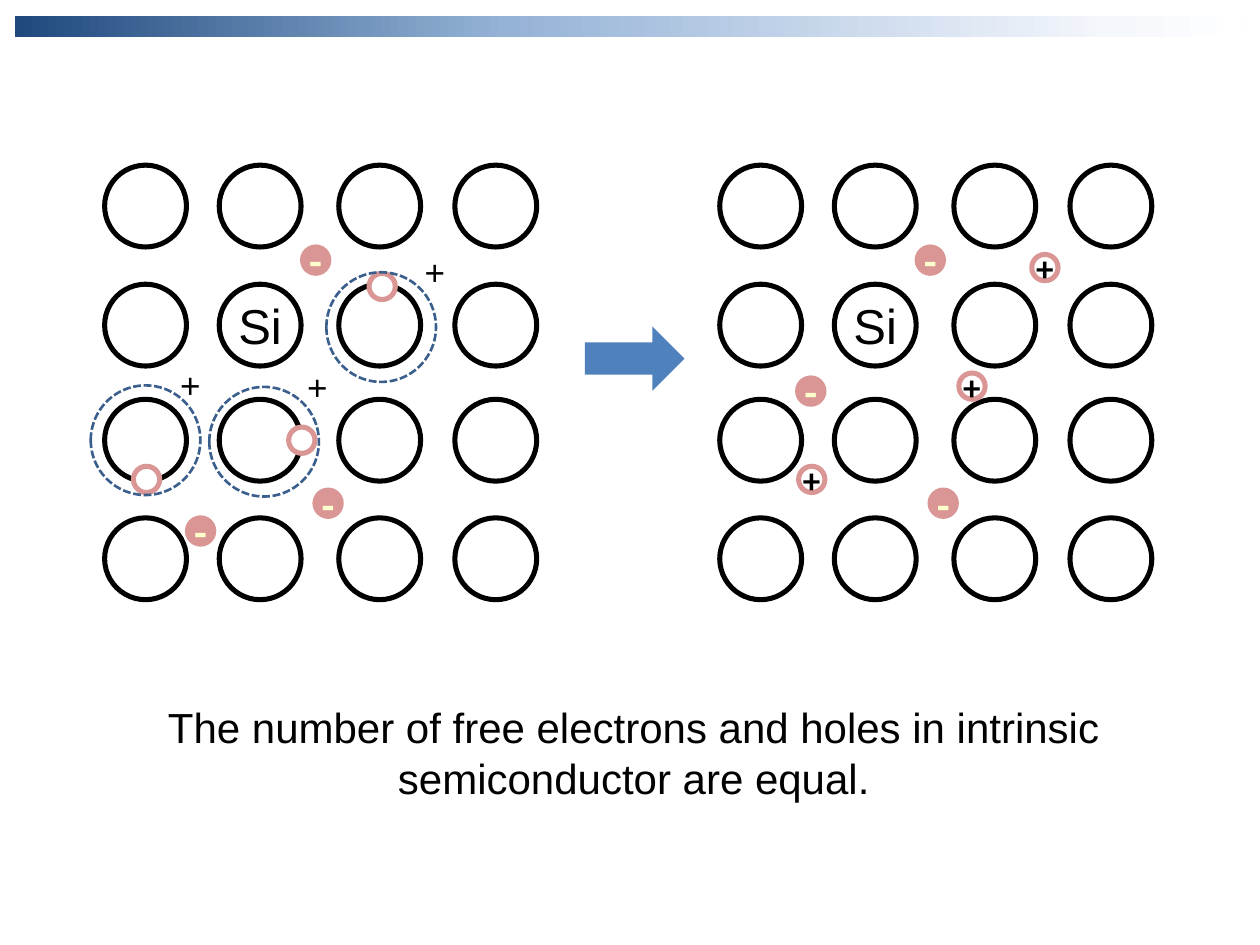
"""Build a slide on free electrons and holes in an intrinsic semiconductor."""
from lxml import etree
from pptx import Presentation
from pptx.dml.color import RGBColor
from pptx.enum.dml import MSO_LINE
from pptx.enum.shapes import MSO_SHAPE
from pptx.enum.text import MSO_ANCHOR, PP_ALIGN
from pptx.oxml.ns import qn
from pptx.util import Cm, Pt

OVAL, ARROW, BAR = MSO_SHAPE.OVAL, MSO_SHAPE.RIGHT_ARROW, MSO_SHAPE.RECTANGLE
CENTER, MIDDLE, DASHED = PP_ALIGN.CENTER, MSO_ANCHOR.MIDDLE, MSO_LINE.SQUARE_DOT
BLACK = RGBColor(0x00, 0x00, 0x00)
WHITE = RGBColor(0xFF, 0xFF, 0xFF)
CREAM = RGBColor(0xFF, 0xFF, 0xCC)
PINK = RGBColor(0xD9, 0x96, 0x94)
BLUE = RGBColor(0x4F, 0x81, 0xBD)
HALO_BLUE = RGBColor(0x3A, 0x5F, 0x8C)
BAR_STOPS = [
    (0, RGBColor(0x1F, 0x49, 0x7D)),
    (40, RGBColor(0x95, 0xB3, 0xD7)),
    (89, RGBColor(0xF4, 0xF7, 0xFC)),
    (100, WHITE),
]

COLUMNS = [2.11, 4.42, 6.83, 9.17]
ROWS = [3.33, 5.73, 8.05, 10.44]
LATTICE_SHIFT = 12.4
ATOM, PARTICLE, HALO = 1.65, 0.53, 2.21


def write(box, text, size, font="Arial", color=BLACK, bold=False, wrap=True):
    """Put centred, formatted text in a box."""
    frame = box.text_frame
    frame.word_wrap = wrap
    para = frame.paragraphs[0]
    para.alignment = CENTER
    span = para.add_run()
    span.text = text
    span.font.size = Pt(size)
    span.font.name = font
    span.font.color.rgb = color
    span.font.bold = bold


def add_circle(shapes, left, top, size, line, fill=None, weight=2.88):
    """Add a circle, hollow unless a fill is given."""
    circle = shapes.add_shape(OVAL, Cm(left), Cm(top), Cm(size), Cm(size))
    circle.shadow.inherit = False
    circle.line.color.rgb = line
    circle.line.width = Pt(weight)
    circle.text_frame.vertical_anchor = MIDDLE
    if fill is None:
        circle.fill.background()
    else:
        circle.fill.solid()
        circle.fill.fore_color.rgb = fill
    return circle


deck = Presentation()
deck.slide_width, deck.slide_height = Cm(25.4), Cm(19.05)
page = deck.slides.add_slide(deck.slide_layouts[6])

bar = page.shapes.add_shape(BAR, Cm(0.3), Cm(0.33), Cm(24.79), Cm(0.41))
bar.shadow.inherit = False
bar.line.fill.background()
bar.fill.gradient()
bar.fill.gradient_angle = 0
stop_list = bar.element.spPr.find(".//" + qn("a:gsLst"))
for stop in list(stop_list):
    stop_list.remove(stop)
for position, color in BAR_STOPS:
    stop = etree.SubElement(stop_list, qn("a:gs"), pos=str(position * 1000))
    etree.SubElement(stop, qn("a:srgbClr"), val=str(color))

LATTICES = [
    (0, "", [(6.35, 9.88), (6.1, 4.98), (3.78, 10.44)],
     [(7.44, 5.51), (5.82, 8.61), (2.69, 9.4)]),
    (LATTICE_SHIFT, "+", [(18.75, 9.88), (18.49, 4.98), (16.08, 7.62)],
     [(20.8, 5.13), (19.33, 7.52), (16.1, 9.4)]),
]
for shift, hole_sign, electrons, holes in LATTICES:
    lattice = page.shapes.add_group_shape().shapes
    for row, top in enumerate(ROWS):
        for column, left in enumerate(COLUMNS):
            atom = add_circle(lattice, left + shift, top, ATOM, BLACK)
            if (row, column) == (1, 1):
                write(atom, "Si", 28, wrap=False)
    for left, top in electrons:
        electron = add_circle(lattice, left, top, PARTICLE, PINK, PINK)
        write(electron, "-", 24, "Calibri", CREAM, bold=True, wrap=False)
    for left, top in holes:
        hole = add_circle(lattice, left, top, PARTICLE, PINK, WHITE)
        if hole_sign:
            write(hole, hole_sign, 20, "Calibri", bold=True, wrap=False)

HALOS = [(6.58, 5.49, 8.31, 4.93), (4.22, 7.8, 5.94, 7.24), (1.83, 7.77, 3.38, 7.21)]
for left, top, plus_left, plus_top in HALOS:
    ion = page.shapes.add_group_shape().shapes
    halo = add_circle(ion, left, top, HALO, HALO_BLUE, weight=1.5)
    halo.line.dash_style = DASHED
    plus = ion.add_textbox(Cm(plus_left), Cm(plus_top), Cm(0.74), Cm(1.12))
    write(plus, "+", 20)

arrow = page.shapes.add_shape(ARROW, Cm(11.79), Cm(6.58), Cm(2.01), Cm(1.3))
arrow.shadow.inherit = False
arrow.fill.solid()
arrow.fill.fore_color.rgb = BLUE
arrow.line.fill.background()

caption = page.shapes.add_textbox(Cm(2.82), Cm(14.02), Cm(19.91), Cm(2.31))
write(caption, "The number of free electrons and holes in intrinsic semiconductor are equal.", 24)

deck.save("out.pptx")
